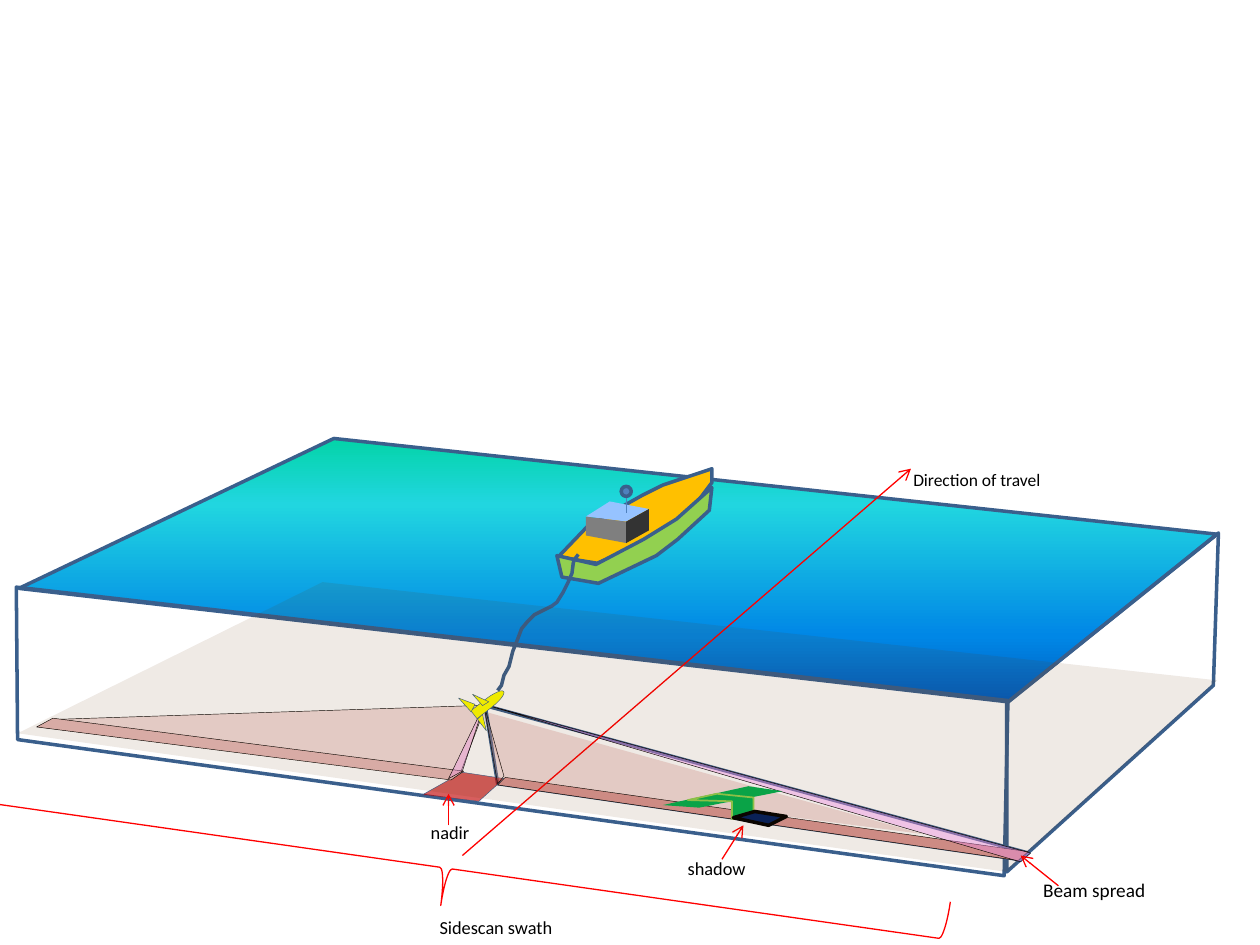
from lxml import etree
from pptx import Presentation
from pptx.dml.color import RGBColor
from pptx.enum.shapes import MSO_CONNECTOR, MSO_SHAPE
from pptx.oxml import parse_xml
from pptx.oxml.ns import qn
from pptx.util import Inches, Pt

STRAIGHT = MSO_CONNECTOR.STRAIGHT
OVAL, DELAY, BRACE = MSO_SHAPE.OVAL, MSO_SHAPE.FLOWCHART_DELAY, MSO_SHAPE.RIGHT_BRACE
NAVY = RGBColor(0x3A, 0x5F, 0x8C)
BLUE = RGBColor(0x4F, 0x81, 0xBD)
BLACK = RGBColor(0, 0, 0)
RED = RGBColor(0xFF, 0, 0)
YELLOW = RGBColor(0xFF, 0xFF, 0)
ORANGE = RGBColor(0xFF, 0xC0, 0)
LIME = RGBColor(0x92, 0xD0, 0x50)
GREEN = RGBColor(0, 0xB0, 0x50)
DARK_BLUE = RGBColor(0, 0x20, 0x60)
CRIMSON = RGBColor(0xC0, 0, 0)
PALE_ROSE = RGBColor(0xF2, 0xDC, 0xDB)
LIGHT_ROSE = RGBColor(0xE6, 0xB9, 0xB8)
ROSE = RGBColor(0xD9, 0x96, 0x94)
PINK = RGBColor(0xFF, 0x99, 0xFF)
BROWN = RGBColor(0x66, 0x33, 0)
ROOF_BLUE = RGBColor(0x96, 0xC3, 0xFF)
GREY = RGBColor(0x7F, 0x7F, 0x7F)
CHARCOAL = RGBColor(0x33, 0x33, 0x33)
WATER = [(0, "03D4A8"), (25, "21D6E0"), (75, "0087E6"), (100, "005CBF")]

# Outline styles: colour and width in points
BOLD, THIN, HAIR = (NAVY, 2), (NAVY, 0.25), (BLACK, 0.25)

# Polygons from back to front: points, fill, opacity in percent, outline
WATER_AND_SHIP = [
    ([(4.01, 6.19), (3.82, 5.64), (7.33, 6.62)], PALE_ROSE, 100, None),
    ([(2.65, 3.48), (0.15, 4.67), (8, 5.57), (9.66, 4.24)], WATER, 100, BOLD),
    # Deck and hull
    ([(5.65, 3.72), (5.26, 3.85), (5.1, 3.93), (4.67, 4.17), (4.43, 4.42), (4.74, 4.47),
      (5.06, 4.33), (5.36, 4.15), (5.56, 3.95), (5.65, 3.83)], ORANGE, 100, BOLD),
    ([(4.42, 4.41), (4.46, 4.58), (4.75, 4.63), (5.21, 4.41), (5.38, 4.28), (5.63, 4.05),
      (5.65, 3.87), (5.37, 4.12), (5.11, 4.28), (4.73, 4.48)], LIME, 100, BOLD),
    # Cabin roof, side and back
    ([(4.65, 4.1), (4.84, 3.98), (5.15, 4.04), (4.97, 4.14)], ROOF_BLUE, 100, None),
    ([(4.65, 4.1), (4.97, 4.14), (4.97, 4.31), (4.65, 4.25)], GREY, 100, None),
    ([(4.97, 4.14), (5.15, 4.04), (5.15, 4.21), (4.97, 4.31)], CHARCOAL, 100, None),
]
BLOCK_SIDES = [
    ([(9.67, 4.23), (9.63, 5.44), (7.99, 6.92), (7.99, 5.58)], None, 100, BOLD),
    ([(0.13, 4.66), (8, 5.56), (7.97, 6.95), (0.14, 5.87)], None, 100, BOLD),
]
CABLE = [(3.95, 5.48), (3.98, 5.44), (4, 5.36), (4.04, 5.29), (4.07, 5.17), (4.11, 5.07),
         (4.14, 4.99), (4.19, 4.93), (4.24, 4.88), (4.32, 4.84), (4.38, 4.81), (4.42, 4.78),
         (4.47, 4.7), (4.51, 4.62), (4.54, 4.55), (4.55, 4.47), (4.56, 4.44), (4.59, 4.4)]
BEAMS = [
    ([(3.77, 5.6), (0.43, 5.71), (0.32, 5.77), (3.57, 6.18), (3.66, 6.12), (3.86, 5.59)],
     PALE_ROSE, 100, HAIR),
    ([(3.95, 6.22), (3.85, 5.6), (8.16, 6.77), (8.08, 6.82)], None, 100, BOLD),
    ([(3.67, 6.13), (3.35, 6.31), (3.8, 6.36), (4, 6.18)], CRIMSON, 63, THIN),
    ([(3.95, 6.22), (4, 6.16), (3.84, 5.59)], ROSE, 30, HAIR),
    ([(3.95, 6.23), (4.01, 6.17), (8.16, 6.76), (8.08, 6.83)], ROSE, 100, HAIR),
    ([(8.18, 6.77), (8.1, 6.84), (3.84, 5.59)], PINK, 42, HAIR),
    ([(0.29, 5.77), (0.42, 5.7), (3.68, 6.12), (3.58, 6.19)], LIGHT_ROSE, 100, HAIR),
    ([(3.56, 6.18), (3.84, 5.6), (3.67, 6.12)], PINK, 35, HAIR),
]
FINS_AND_TARGET = [
    ([(3.77, 5.59), (3.64, 5.54), (3.74, 5.65)], YELLOW, 100, THIN),
    ([(3.79, 5.71), (3.86, 5.8), (3.83, 5.67)], YELLOW, 100, THIN),
    ([(3.83, 5.6), (3.75, 5.51), (3.88, 5.57)], YELLOW, 100, THIN),
    # Object on the seabed and its shadow
    ([(5.26, 6.39), (5.94, 6.24), (6.21, 6.28), (5.55, 6.41)], GREEN, 100, None),
    ([(5.81, 6.5), (5.81, 6.36), (5.46, 6.35), (5.69, 6.3), (5.98, 6.33), (5.98, 6.45)],
     GREEN, 100, (LIME, 1)),
    ([(5.82, 6.49), (5.99, 6.44), (6.24, 6.48), (6.1, 6.55)], DARK_BLUE, 100, (BLACK, 2)),
]
SEABED = [([(0.14, 5.82), (7.99, 6.92), (9.66, 5.4), (2.56, 4.62)], BROWN, 10, None)]

# Labels: text, left, top, width, height, size, arrow ends
LABELS = [
    ("shadow", 5.36, 6.75, 1.25, 0.28, 10.5, (5.73, 6.82, 5.9, 6.55)),
    ("nadir", 3.32, 6.47, 1.25, 0.28, 10.5, (3.56, 6.55, 3.56, 6.3)),
    ("Beam spread", 8.18, 6.92, 1.39, 0.29, 11, (8.4, 7.03, 8.1, 6.79)),
    ("Direction of travel", 7.15, 3.67, 2, 0.27, 10, (3.67, 6.79, 7.23, 3.72)),
    ("Sidescan swath", 3.39, 7.22, 1.25, 0.28, 10.5, None),
]

deck = Presentation()
deck.slide_width, deck.slide_height = Inches(10), Inches(7.5)
page = deck.slides.add_slide(deck.slide_layouts[6])


def paint(shape, fill, opacity, outline):
    shape.shadow.inherit = False
    if fill is None:
        shape.fill.background()
    elif isinstance(fill, list):
        shape.fill.gradient()
        shape.fill.gradient_angle = 270
        stops = shape._element.spPr.find(qn("a:gradFill")).find(qn("a:gsLst"))
        for stop in list(stops):
            stops.remove(stop)
        for position, colour in fill:
            stop = etree.SubElement(stops, qn("a:gs"), pos=str(position * 1000))
            etree.SubElement(stop, qn("a:srgbClr"), val=colour)
    else:
        shape.fill.solid()
        shape.fill.fore_color.rgb = fill
        if opacity < 100:
            colour = shape._element.spPr.find(qn("a:solidFill"))[0]
            etree.SubElement(colour, qn("a:alpha"), val=str(opacity * 1000))
    if outline:
        shape.line.color.rgb, shape.line.width = outline[0], Pt(outline[1])
    else:
        shape.line.fill.background()


def add_outline(points, fill, opacity, outline, close=True):
    grid = [(round(x * 100), round(y * 100)) for x, y in points]
    builder = page.shapes.build_freeform(*grid[0], scale=Inches(0.01))
    builder.add_line_segments(grid[1:], close=close)
    paint(builder.convert_to_shape(), fill, opacity, outline)


def add_preset(kind, area, fill, outline, rotation=0):
    shape = page.shapes.add_shape(kind, *map(Inches, area))
    shape.rotation = rotation
    paint(shape, fill, 100, outline)


def add_line(ends, colour, arrow=False):
    line = page.shapes.add_connector(STRAIGHT, *map(Inches, ends))
    line.line.color.rgb, line.line.width = colour, Pt(0.75)
    if arrow:
        etree.SubElement(line.line._get_or_add_ln(), qn("a:tailEnd"), type="arrow")
    etree.SubElement(line._element.spPr, qn("a:effectLst"))


def add_label(text, left, top, width, height, size):
    box = page.shapes.add_textbox(*map(Inches, (left, top, width, height)))
    box.text_frame.word_wrap = True
    span = box.text_frame.paragraphs[0].add_run()
    span.text = text
    for name, value in {"name": "Calibri", "size": Pt(size)}.items():
        setattr(span.font, name, value)
    span.font.color.rgb = BLACK


# Water, ship and mast
for polygon in WATER_AND_SHIP:
    add_outline(*polygon)
add_line((4.97, 3.9, 4.97, 4.07), BLUE)
add_preset(OVAL, (4.93, 3.86, 0.08, 0.08), BLUE, BOLD)

# Block sides, tow cable and sonar beams
for polygon in BLOCK_SIDES:
    add_outline(*polygon)
add_outline(CABLE, None, 100, BOLD, close=False)
for polygon in BEAMS:
    add_outline(*polygon)

# Towfish and target
add_preset(DELAY, (3.73, 5.54, 0.3, 0.08), YELLOW, THIN, 322)
for polygon in FINS_AND_TARGET:
    add_outline(*polygon)

# Swath brace, labels and their arrows
add_preset(BRACE, (3.24, 2.89, 0.6, 8), None, (RED, 0.75), 98.1)
for *label, arrow_ends in LABELS:
    if arrow_ends:
        add_line(arrow_ends, RED, arrow=True)
    add_label(*label)

# Translucent seabed
for polygon in SEABED:
    add_outline(*polygon)

deck.save("out.pptx")
